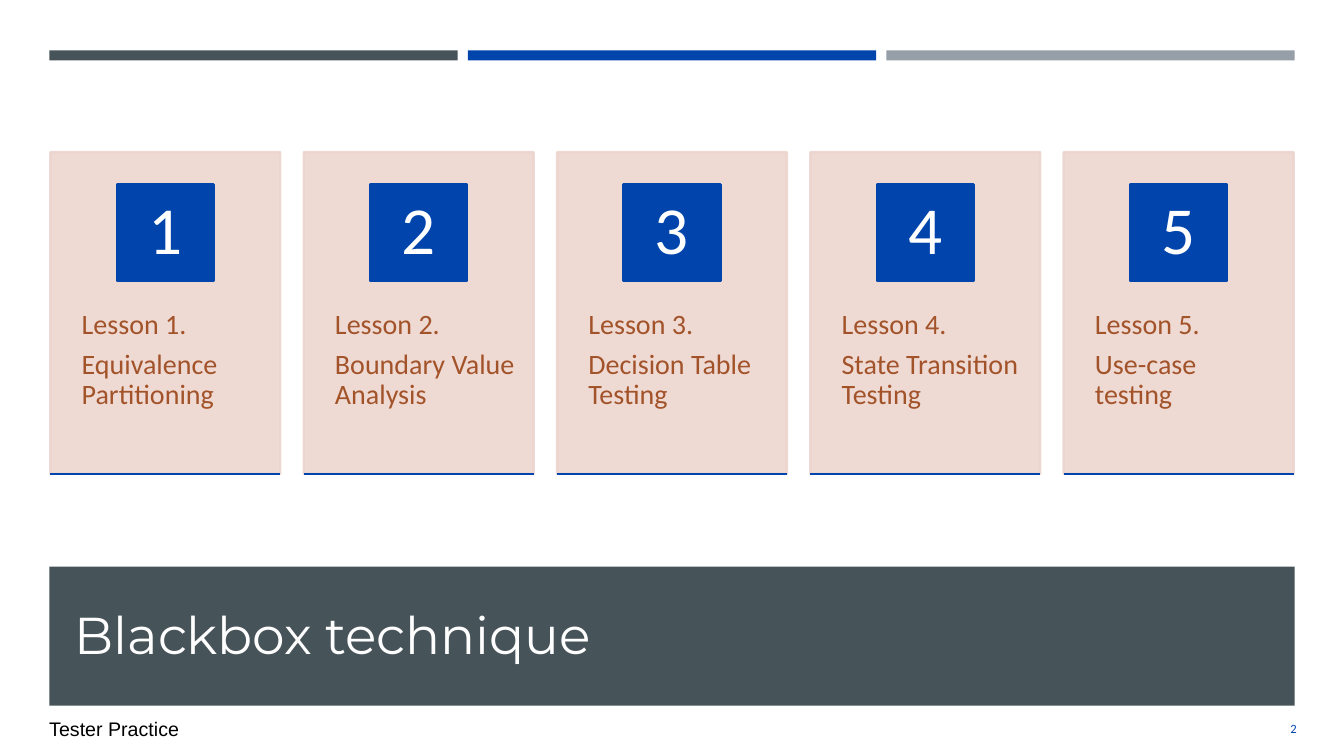
from lxml.etree import SubElement
from pptx import Presentation
from pptx.dml.color import RGBColor
from pptx.enum.shapes import MSO_CONNECTOR, MSO_SHAPE
from pptx.enum.text import MSO_ANCHOR, MSO_AUTO_SIZE, PP_ALIGN
from pptx.oxml.ns import qn
from pptx.util import Inches, Pt

COLORS = {
    "slate": "465359", "blue": "0145AC", "gray": "969FA7", "blush": "EDD4CD",
    "rust": "A25329", "white": "FFFFFF", "title": "FFFEFF", "black": "000000",
}
LESSONS = [
    "Equivalence Partitioning", "Boundary Value Analysis",
    "Decision Table Testing", "State Transition Testing", "Use-case testing",
]


def rgb(name):
    return RGBColor.from_string(COLORS[name])


def set_alpha(fill_element, percent):
    color = fill_element.find(".//" + qn("a:srgbClr"))
    SubElement(color, qn("a:alpha"), val=str(percent * 1000))


def add_rect(s, x, y, w, h, color, outlined=False, alpha=None):
    sp = s.shapes.add_shape(MSO_SHAPE.RECTANGLE, Inches(x), Inches(y), Inches(w), Inches(h))
    sp.shadow.inherit = False
    sp.fill.solid()
    sp.fill.fore_color.rgb = rgb(color)
    if outlined:
        sp.line.color.rgb = rgb(color)
        sp.line.width = Pt(1.75)
    else:
        sp.line.fill.background()
    if alpha:
        pr = sp._element.spPr
        set_alpha(pr.find(qn("a:solidFill")), alpha)
        set_alpha(pr.find(qn("a:ln")), alpha)
    return sp


def write(sp, lines, size, font, color, align=PP_ALIGN.LEFT, anchor=MSO_ANCHOR.MIDDLE,
          insets=(0.1, 0.05, 0.1, 0.05), spacing=1.0, before=0):
    tf = sp.text_frame
    tf.word_wrap = True
    tf.auto_size = MSO_AUTO_SIZE.NONE
    tf.vertical_anchor = anchor
    tf.margin_left, tf.margin_top, tf.margin_right, tf.margin_bottom = map(Inches, insets)
    tf.text = "\n".join(lines)
    for i, p in enumerate(tf.paragraphs):
        p.alignment = align
        p.line_spacing = spacing
        p.space_before = Pt(before if i else 0)
        for r in p.runs:
            r.font.size = Pt(size)
            r.font.name = font
            r.font.color.rgb = rgb(color)


def add_text(s, x, y, w, h, lines, *args, **kwargs):
    sp = s.shapes.add_textbox(Inches(x), Inches(y), Inches(w), Inches(h))
    write(sp, lines, *args, **kwargs)


def add_top_bars(s, x, y, w, h, gap=0.1):
    colors = ["slate", "blue", "gray"]
    bar_w = (w - gap * (len(colors) - 1)) / len(colors)
    for i, color in enumerate(colors):
        add_rect(s, x + i * (bar_w + gap), y, bar_w, h, color)


def add_title_banner(s, x, y, w, h, text):
    banner = add_rect(s, x, y, w, h, "slate")
    title = s.shapes.title
    title._element.addprevious(banner._element)  # banner sits behind the title
    title.left, title.top = Inches(x + 0.15), Inches(y + 0.14)
    title.width, title.height = Inches(w - 0.29), Inches(1.05)
    write(title, [text], 37, "Montserrat", "title")


def add_card(s, x, y, w, h, number, topic):
    add_rect(s, x, y, w, h, "blush", outlined=True, alpha=88)
    add_text(s, x, y + 1.21, w, 1.92, [f"Lesson {number}.", topic], 20, "Calibri", "rust",
             anchor=MSO_ANCHOR.TOP, insets=(0.31, 0.36, 0.18, 0.36), spacing=0.9, before=7)
    # Number tile
    side = 0.96
    tile = add_rect(s, x + (w - side) / 2, y + 0.32, side, side, "blue", outlined=True)
    write(tile, [str(number)], 48, "Calibri", "white", align=PP_ALIGN.CENTER,
          insets=(0.07, 0.01, 0.07, 0.01), spacing=0.9)
    # Bottom rule
    rule = s.shapes.add_connector(MSO_CONNECTOR.STRAIGHT, Inches(x), Inches(y + h),
                                  Inches(x + w), Inches(y + h))
    rule.line.color.rgb = rgb("blue")
    rule.line.width = Pt(1.75)
    SubElement(rule._element.spPr, qn("a:effectLst"))


def add_cards(s, x, y, w, h, card_w=2.28):
    step = (w - card_w) / (len(LESSONS) - 1)
    for i, topic in enumerate(LESSONS):
        add_card(s, x + i * step, y, card_w, h, i + 1, topic)


def add_footer(s, x, y, w, h):
    add_text(s, x, y, 7.56, h, ["Tester Practice"], 14, "Arial", "black")
    add_text(s, x + w - 1.15, y, 1.15, h, ["2"], 9, "Calibri", "blue", align=PP_ALIGN.RIGHT)


def main():
    prs = Presentation()
    prs.slide_width, prs.slide_height = Inches(13.33), Inches(7.5)
    s = prs.slides.add_slide(prs.slide_layouts[5])
    s.background.fill.solid()
    s.background.fill.fore_color.rgb = rgb("white")
    add_title_banner(s, 0.49, 5.62, 12.35, 1.38, "Blackbox technique")
    add_top_bars(s, 0.49, 0.5, 12.35, 0.1)
    add_cards(s, 0.5, 1.51, 12.33, 3.19)
    add_footer(s, 0.39, 7.03, 12.57, 0.4)
    prs.save("out.pptx")


if __name__ == "__main__":
    main()
